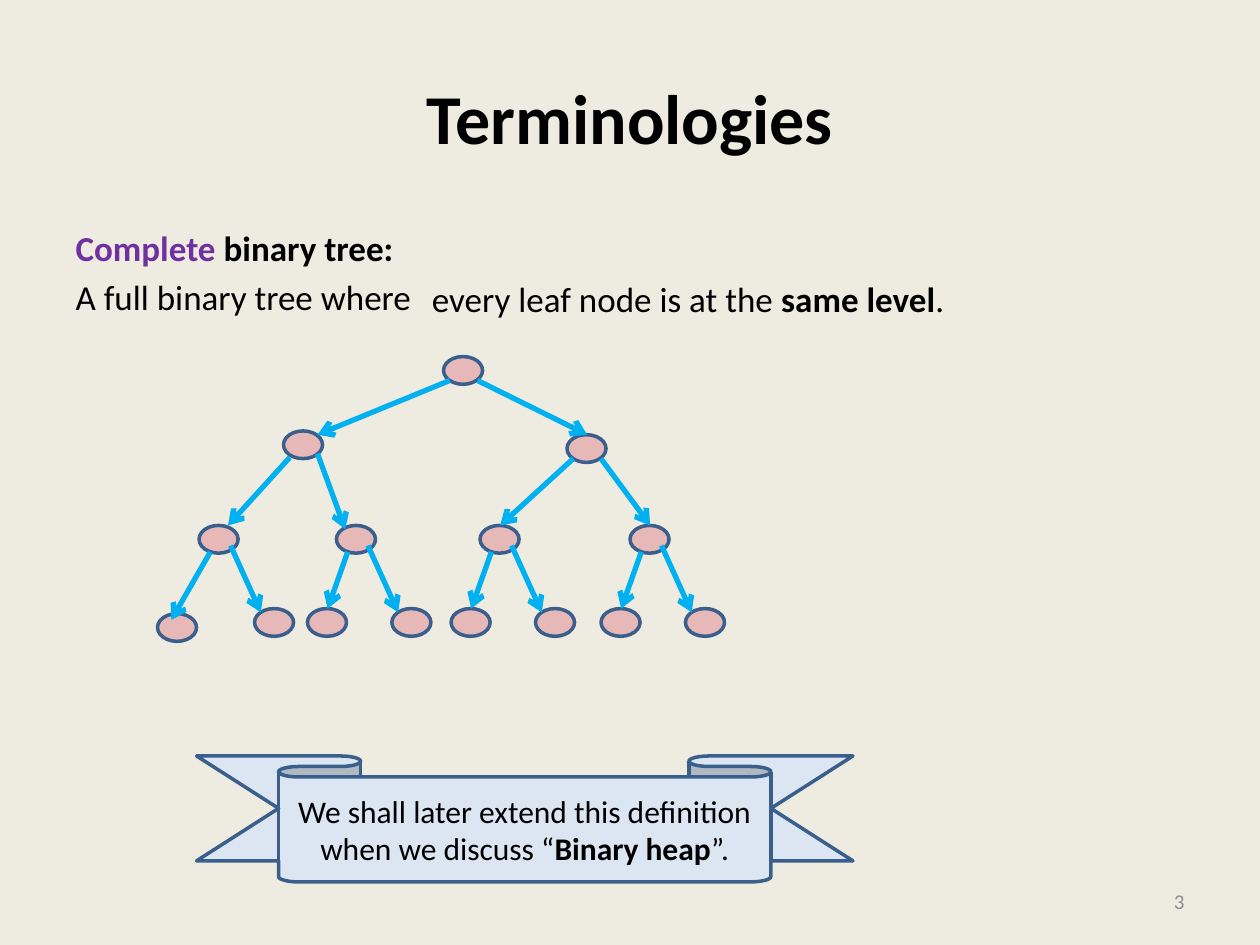
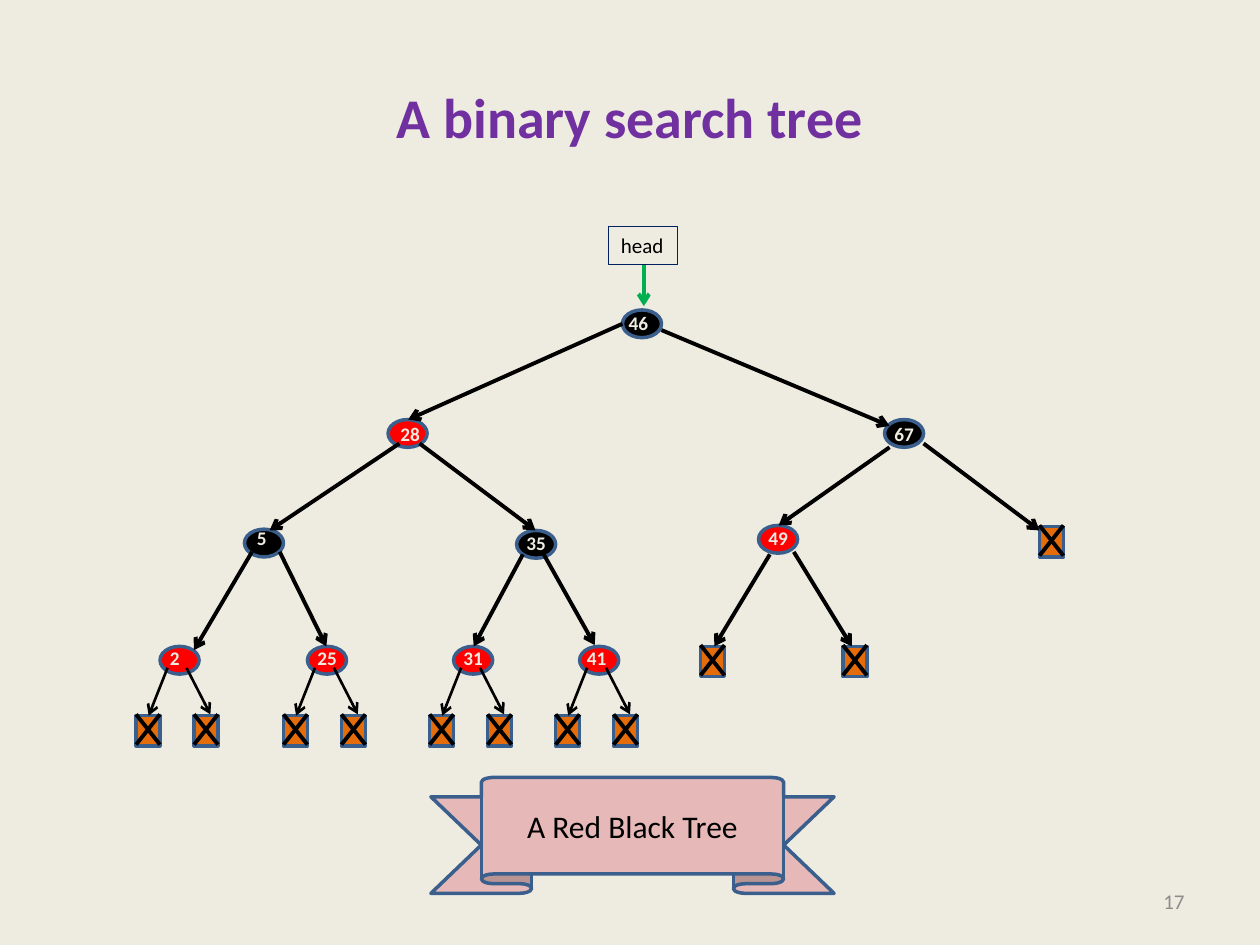
"""Build two slides on binary trees: a complete tree and a red-black tree."""
import dataclasses
import typing

import lxml.etree
import pptx
import pptx.dml.color
import pptx.enum.shapes
import pptx.enum.text
import pptx.oxml.ns
import pptx.util

Inches = pptx.util.Inches
SHAPES = pptx.enum.shapes.MSO_SHAPE
ALIGN = pptx.enum.text.PP_ALIGN
ANCHOR = pptx.enum.text.MSO_ANCHOR
FIT = pptx.enum.text.MSO_AUTO_SIZE

FONT = "Calibri"
PAPER, BLACK, PURPLE, GRAY = "EEECE1", "000000", "7030A0", "8C8C8C"
OUTLINE, PINK, PALE_BLUE, SKY = "3A5F8C", "E6B9B8", "DCE6F2", "00B0F0"
RED, ORANGE, GREEN, NAVY = "FF0000", "E46C0A", "00B050", "002060"
NODE_SIZE = (0.31, 0.22)
STUB_SIZE = (0.19, 0.24)


@dataclasses.dataclass
class Run:
    text: str
    color: str = BLACK
    bold: bool = False


@dataclasses.dataclass
class Node:
    left: float
    top: float
    fill: str = PINK
    label: str = ""
    label_dx: float = -0.02
    label_dy: float = -0.05


@dataclasses.dataclass
class Edge:
    x1: float
    y1: float
    x2: float
    y2: float
    color: str = BLACK
    width: float = 2.25
    arrow: bool = True


def rgb(color: str) -> pptx.dml.color.RGBColor:
    return pptx.dml.color.RGBColor.from_string(color)


def set_values(target: typing.Any, values: dict[str, typing.Any]) -> None:
    for name, value in values.items():
        setattr(target, name, value)


def place(item: typing.Any, left: float, top: float, width: float, height: float) -> None:
    set_values(item, {"left": Inches(left), "top": Inches(top),
                      "width": Inches(width), "height": Inches(height)})


def write(paragraph: typing.Any, runs: list[Run], size: float, align: typing.Any = None) -> None:
    if align is not None:
        paragraph.alignment = align
    for part in runs:
        run = paragraph.add_run()
        run.text = part.text
        set_values(run.font, {"name": FONT, "size": pptx.util.Pt(size), "bold": part.bold})
        run.font.color.rgb = rgb(part.color)


def add_label(slide: typing.Any, box: tuple, runs: list[Run], size: float,
              frame_values: dict[str, typing.Any], align: typing.Any = None) -> None:
    label = slide.shapes.add_textbox(*map(Inches, box))
    set_values(label.text_frame, frame_values)
    write(label.text_frame.paragraphs[0], runs, size, align)


def add_figure(slide: typing.Any, kind: typing.Any, box: tuple, fill: str | None,
               line: str = OUTLINE, width: float = 2) -> typing.Any:
    figure = slide.shapes.add_shape(kind, *map(Inches, box))
    figure.shadow.inherit = False
    if fill:
        figure.fill.solid()
        figure.fill.fore_color.rgb = rgb(fill)
    else:
        figure.fill.background()
    figure.line.color.rgb = rgb(line)
    figure.line.width = pptx.util.Pt(width)
    return figure


def add_edge(slide: typing.Any, edge: Edge) -> None:
    ends = map(Inches, (edge.x1, edge.y1, edge.x2, edge.y2))
    connector = slide.shapes.add_connector(pptx.enum.shapes.MSO_CONNECTOR.STRAIGHT, *ends)
    connector.line.color.rgb = rgb(edge.color)
    connector.line.width = pptx.util.Pt(edge.width)
    properties = connector._element.spPr
    if edge.arrow:
        outline = properties.find(pptx.oxml.ns.qn("a:ln"))
        lxml.etree.SubElement(outline, pptx.oxml.ns.qn("a:tailEnd"), type="arrow")
    lxml.etree.SubElement(properties, pptx.oxml.ns.qn("a:effectLst"))


def add_tree(slide: typing.Any, nodes: list[Node], edges: list[Edge]) -> None:
    for node in nodes:
        add_figure(slide, SHAPES.OVAL, (node.left, node.top, *NODE_SIZE), node.fill)
    for edge in edges:
        add_edge(slide, edge)
    for node in nodes:
        if node.label:
            width = 0.2 + 0.08 * len(node.label)
            box = (node.left + node.label_dx, node.top + node.label_dy, width, 0.29)
            add_label(slide, box, [Run(node.label, PAPER, True)], 11,
                      {"word_wrap": False, "auto_size": FIT.SHAPE_TO_FIT_TEXT})


def add_stub(slide: typing.Any, left: float, top: float) -> None:
    width, height = STUB_SIZE
    right, bottom = left + width, top + height
    add_figure(slide, SHAPES.RECTANGLE, (left, top, width, height), ORANGE)
    for start, end in ((right, left), (left, right)):
        add_edge(slide, Edge(start, top - 0.01, end, bottom - 0.01, arrow=False))


def add_ribbon(slide: typing.Any, kind: typing.Any, box: tuple, fill: str,
               runs: list[Run]) -> None:
    ribbon = add_figure(slide, kind, box, fill)
    ribbon.adjustments[0], ribbon.adjustments[1] = 0.167, 0.75
    set_values(ribbon.text_frame, {"word_wrap": True, "vertical_anchor": ANCHOR.MIDDLE})
    write(ribbon.text_frame.paragraphs[0], runs, 18, ALIGN.CENTER)


def start_slide(deck: typing.Any, layout: int, title: Run, size: float, number: int) -> typing.Any:
    slide = deck.slides.add_slide(deck.slide_layouts[layout])
    heading = slide.shapes.title
    place(heading, 0.5, 0.3, 9, 1.25)
    heading.text_frame.vertical_anchor = ANCHOR.MIDDLE
    write(heading.text_frame.paragraphs[0], [title], size, ALIGN.CENTER)
    add_label(slide, (7.17, 6.95, 2.33, 0.4), [Run(str(number), GRAY)], 12,
              {"word_wrap": True, "vertical_anchor": ANCHOR.MIDDLE}, ALIGN.RIGHT)
    return slide


def build_complete_tree(deck: typing.Any) -> None:
    slide = start_slide(deck, 1, Run("Terminologies", bold=True), 40, 3)
    definition = slide.placeholders[1]
    place(definition, 0.5, 1.75, 9, 4.95)
    lines = [[Run("Complete ", PURPLE, True), Run("binary tree:", bold=True)],
             [Run("A full binary tree where")]]
    for index, runs in enumerate(lines):
        frame = definition.text_frame
        paragraph = frame.add_paragraph() if index else frame.paragraphs[0]
        properties = paragraph._p.get_or_add_pPr()
        properties.set("marL", "0")
        properties.set("indent", "0")
        lxml.etree.SubElement(properties, pptx.oxml.ns.qn("a:buNone"))
        paragraph.space_before = pptx.util.Pt(4 * index)
        write(paragraph, runs, 20)
    add_label(slide, (3.33, 2.15, 4.42, 0.44),
              [Run("every leaf node is at the "), Run("same level", bold=True), Run(".")], 20,
              {"word_wrap": False, "auto_size": FIT.SHAPE_TO_FIT_TEXT})

    nodes = [Node(3.52, 2.83), Node(2.25, 3.42), Node(4.5, 3.45)]
    edges = [Edge(3.79, 3.02, 4.66, 3.45, SKY, 3), Edge(3.57, 3.02, 2.52, 3.45, SKY, 3),
             Edge(2.3, 3.63, 1.81, 4.17, SKY, 3), Edge(2.52, 3.6, 2.74, 4.2, SKY, 3),
             Edge(4.55, 3.64, 3.97, 4.17, SKY, 3), Edge(4.77, 3.64, 5.16, 4.17, SKY, 3)]
    left_leaves = [(1.25, 4.87), (2.44, 4.83), (3.58, 4.83), (4.77, 4.83)]
    for parent, (leaf_left, leaf_top) in zip((1.58, 2.67, 3.81, 5.0), left_leaves):
        nodes += [Node(parent, 4.17), Node(leaf_left, leaf_top), Node(parent + 0.44, 4.83)]
        leaf_tip = (1.36, 4.92) if parent == 1.58 else (leaf_left + 0.16, leaf_top)
        edges += [Edge(parent + 0.09, 4.38, *leaf_tip, SKY, 3),
                  Edge(parent + 0.25, 4.33, parent + 0.49, 4.86, SKY, 3)]
    add_tree(slide, nodes, edges)
    add_ribbon(slide, SHAPES.DOWN_RIBBON, (1.56, 6, 5.21, 1), PALE_BLUE,
               [Run("We shall later extend this definition when we discuss “"),
                Run("Binary heap", bold=True), Run("”.")])


def build_red_black_tree(deck: typing.Any) -> None:
    slide = start_slide(deck, 5, Run("A binary search tree", PURPLE, True), 32, 17)
    nodes = [Node(4.94, 2.46, BLACK, "46", -0.05, -0.04),
             Node(3.08, 3.33, RED, "28", 0, -0.03),
             Node(7.02, 3.33, BLACK, "67", -0.02, -0.03),
             Node(1.94, 4.2, BLACK, "5", 0, -0.07),
             Node(4.1, 4.21, BLACK, "35", -0.02, -0.04),
             Node(6.02, 4.17, RED, "49", -0.02, -0.04)]
    edges = [Edge(4.94, 2.57, 3.24, 3.33), Edge(5.25, 2.62, 7.06, 3.38),
             Edge(3.17, 3.52, 2.14, 4.21), Edge(3.33, 3.52, 4.25, 4.21),
             Edge(7.06, 3.55, 6.18, 4.17), Edge(7.33, 3.52, 8.25, 4.21),
             Edge(2, 4.38, 1.54, 5.16), Edge(2.22, 4.38, 2.59, 5.13),
             Edge(4.15, 4.4, 3.76, 5.13), Edge(4.31, 4.39, 4.72, 5.12),
             Edge(6.11, 4.4, 5.67, 5.13), Edge(6.3, 4.38, 6.76, 5.13),
             Edge(5.11, 2.1, 5.11, 2.43, GREEN)]
    stubs = [(5.56, 5.13), (6.69, 5.13), (8.25, 4.18)]
    for left, label in ((1.27, "2"), (2.44, "25"), (3.6, "31"), (4.6, "41")):
        nodes.append(Node(left, 5.13, RED, label, -0.04 if label == "41" else -0.02))
        stubs += [(left - 0.19, 5.68), (left + 0.27, 5.68)]
        edges += [Edge(left + 0.06, 5.3, left - 0.09, 5.68, width=1.5),
                  Edge(left + 0.21, 5.3, left + 0.4, 5.67, width=1.5)]
    for left, top in stubs:
        add_stub(slide, left, top)
    add_tree(slide, nodes, edges)

    head = add_figure(slide, SHAPES.RECTANGLE, (4.83, 1.8, 0.55, 0.3), None, NAVY, 0.75)
    set_values(head.text_frame, {"word_wrap": True, "vertical_anchor": ANCHOR.TOP,
                                 "auto_size": FIT.SHAPE_TO_FIT_TEXT})
    write(head.text_frame.paragraphs[0], [Run("head")], 12, ALIGN.LEFT)
    add_ribbon(slide, SHAPES.UP_RIBBON, (3.42, 6.17, 3.2, 0.92), PINK,
               [Run("A Red Black Tree")])


def main() -> None:
    deck = pptx.Presentation()
    set_values(deck, {"slide_width": Inches(10), "slide_height": Inches(7.5)})
    paper = deck.slide_master.background.fill
    paper.solid()
    paper.fore_color.rgb = rgb(PAPER)
    build_complete_tree(deck)
    build_red_black_tree(deck)
    deck.save("out.pptx")


if __name__ == "__main__":
    main()
